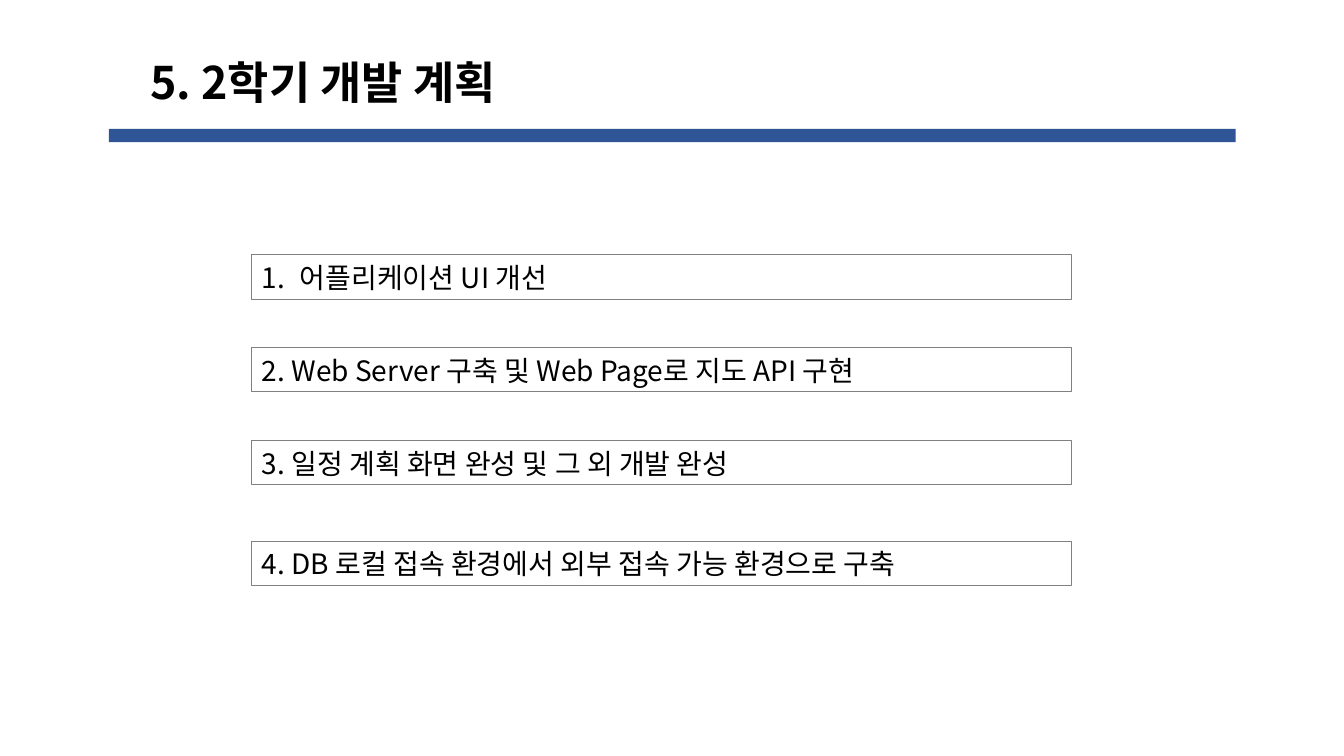
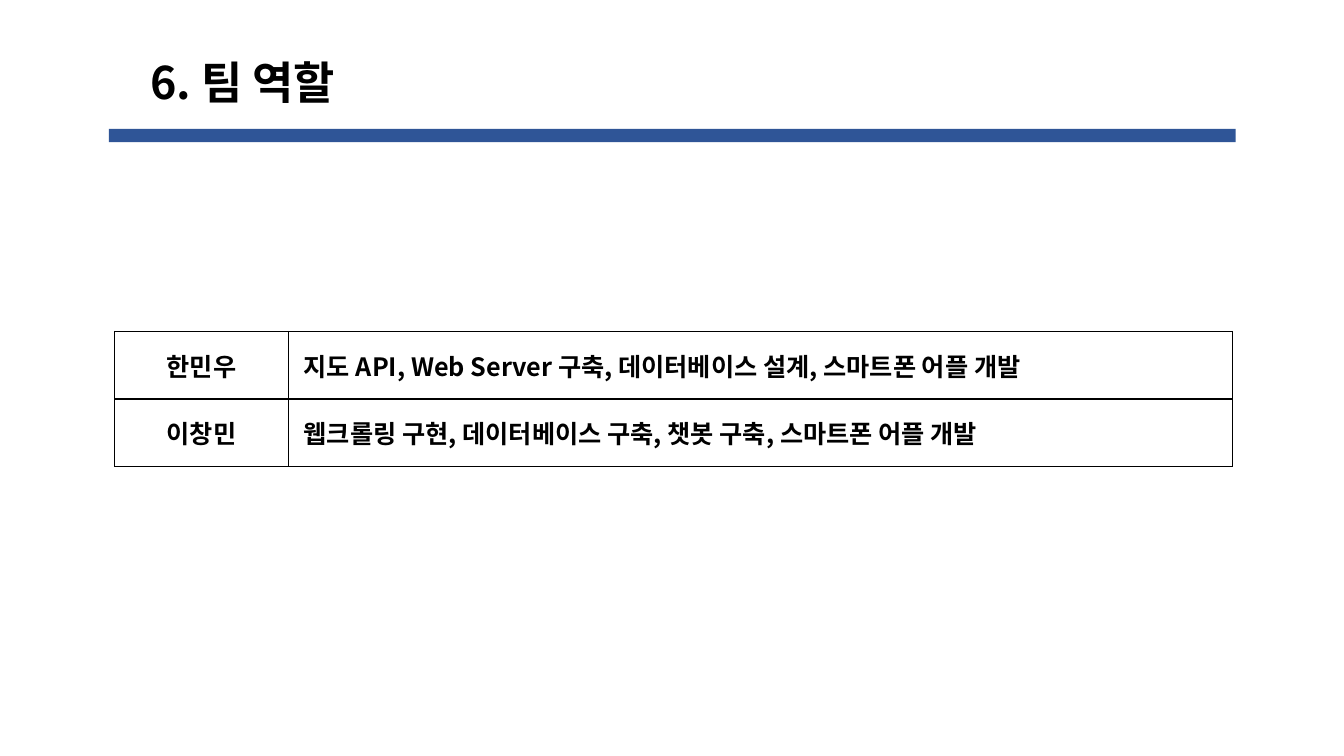
from dataclasses import dataclass

from lxml import etree
from pptx import Presentation
from pptx.dml.color import RGBColor
from pptx.enum.shapes import MSO_SHAPE
from pptx.enum.text import MSO_ANCHOR, MSO_AUTO_SIZE, PP_ALIGN
from pptx.oxml.ns import qn
from pptx.util import Pt

RECTANGLE = MSO_SHAPE.RECTANGLE
MIDDLE = MSO_ANCHOR.MIDDLE
NO_AUTOFIT = MSO_AUTO_SIZE.NONE
LEFT, CENTER = PP_ALIGN.LEFT, PP_ALIGN.CENTER
TITLE_ONLY = 5

# Content
PLAN_TITLE = "5. 2학기 개발 계획"
PLANS = [  # text, top in points, automatic number
    ("어플리케이션 UI 개선", 182, True),
    ("2. Web Server 구축 및 Web Page로 지도 API 구현", 248.4, False),
    ("3. 일정 계획 화면 완성 및 그 외 개발 완성", 314.8, False),
    ("4. DB 로컬 접속 환경에서 외부 접속 가능 환경으로 구축", 386.8, False),
]
TEAM_TITLE = "6. 팀 역할"
TEAM = [
    ("한민우", "지도 API, Web Server 구축, 데이터베이스 설계, 스마트폰 어플 개발"),
    ("이창민", "웹크롤링 구현, 데이터베이스 구축, 챗봇 구축, 스마트폰 어플 개발"),
]


@dataclass(frozen=True)
class Theme:
    font: str = "Noto Sans CJK KR"
    ink: str = "000000"
    bar: str = "2F5597"
    outline: str = "808080"
    title_size: float = 32
    plan_size: float = 20
    table_size: float = 18


THEME = Theme()

# Places, in points: left, top, width, height
TITLE_BOX = (100, 35.3, 780, 46)
BAR_BOX = (77.7, 92, 805, 9.6)
PLAN_LEFT, PLAN_WIDTH, PLAN_HEIGHT = 180, 585.4, 31.6
NUMBER_INDENT = 27
TABLE_LEFT, TABLE_TOP = 82, 236.8
COLUMN_WIDTHS = (123.8, 674.7)
ROW_HEIGHT = 48.2
ROLE_INSET = 11.2


def points(values):
    return [Pt(value) for value in values]


def color(name):
    return RGBColor.from_string(name)


def style_text(frame, size, bold=False, align=LEFT):
    for para in frame.paragraphs:
        para.alignment = align
        for span in para.runs:
            span.font.name = THEME.font
            span.font.size = Pt(size)
            span.font.bold = bold
            span.font.color.rgb = color(THEME.ink)
            latin = span.font._element.find(qn("a:latin"))
            east_asian = etree.Element(qn("a:ea"), typeface=THEME.font)
            latin.addnext(east_asian)


def prepare_layout(layout, page):
    """Put the shared bar and title place on the layout."""
    bar = page.shapes.add_shape(RECTANGLE, *points(BAR_BOX))
    bar.shadow.inherit = False
    bar.fill.solid()
    bar.fill.fore_color.rgb = color(THEME.bar)
    bar.line.fill.background()
    layout.shapes.element.append(bar.element)
    title = layout.placeholders[0]
    title.left, title.top, title.width, title.height = points(TITLE_BOX)


def add_page(deck, title):
    page = deck.slides.add_slide(deck.slide_layouts[TITLE_ONLY])
    frame = page.shapes.title.text_frame
    frame.text = title
    frame.auto_size = NO_AUTOFIT
    frame.vertical_anchor = MIDDLE
    style_text(frame, THEME.title_size, bold=True)
    return page


def number_paragraph(para):
    properties = para._p.get_or_add_pPr()
    properties.set("marL", str(Pt(NUMBER_INDENT)))
    properties.set("indent", str(-Pt(NUMBER_INDENT)))
    etree.SubElement(properties, qn("a:buFont"), typeface=THEME.font)
    etree.SubElement(properties, qn("a:buAutoNum"), type="arabicPeriod")


def add_plan(page, text, top, numbered):
    box = page.shapes.add_textbox(*points((PLAN_LEFT, top, PLAN_WIDTH, PLAN_HEIGHT)))
    box.line.color.rgb = color(THEME.outline)
    box.line.width = Pt(0.75)
    frame = box.text_frame
    frame.word_wrap = True
    frame.vertical_anchor = MIDDLE
    frame.text = text
    if numbered:
        number_paragraph(frame.paragraphs[0])
    style_text(frame, THEME.plan_size)


def add_borders(cell):
    properties = cell._tc.get_or_add_tcPr()
    for index, side in enumerate(("lnL", "lnR", "lnT", "lnB")):
        line = etree.Element(qn(f"a:{side}"), w=str(Pt(1)))
        fill = etree.SubElement(line, qn("a:solidFill"))
        etree.SubElement(fill, qn("a:srgbClr"), val=THEME.ink)
        properties.insert(index, line)


def add_team_table(page):
    size = (sum(COLUMN_WIDTHS), ROW_HEIGHT * len(TEAM))
    table = page.shapes.add_table(
        len(TEAM), len(COLUMN_WIDTHS), *points((TABLE_LEFT, TABLE_TOP, *size))
    ).table
    table.first_row = False
    table.horz_banding = False
    for column, width in zip(table.columns, COLUMN_WIDTHS):
        column.width = Pt(width)
    for row, member in zip(table.rows, TEAM):
        row.height = Pt(ROW_HEIGHT)
        for cell, text, align in zip(row.cells, member, (CENTER, LEFT)):
            cell.text = text
            cell.vertical_anchor = MIDDLE
            cell.fill.background()
            if align == LEFT:
                cell.margin_left = Pt(ROLE_INSET)
            add_borders(cell)
            style_text(cell.text_frame, THEME.table_size, bold=True, align=align)


def main():
    deck = Presentation()
    deck.slide_width, deck.slide_height = Pt(960), Pt(540)

    # Development plan
    plan_page = add_page(deck, PLAN_TITLE)
    prepare_layout(deck.slide_layouts[TITLE_ONLY], plan_page)
    for plan in PLANS:
        add_plan(plan_page, *plan)

    # Team roles
    add_team_table(add_page(deck, TEAM_TITLE))

    deck.save("out.pptx")


if __name__ == "__main__":
    main()
